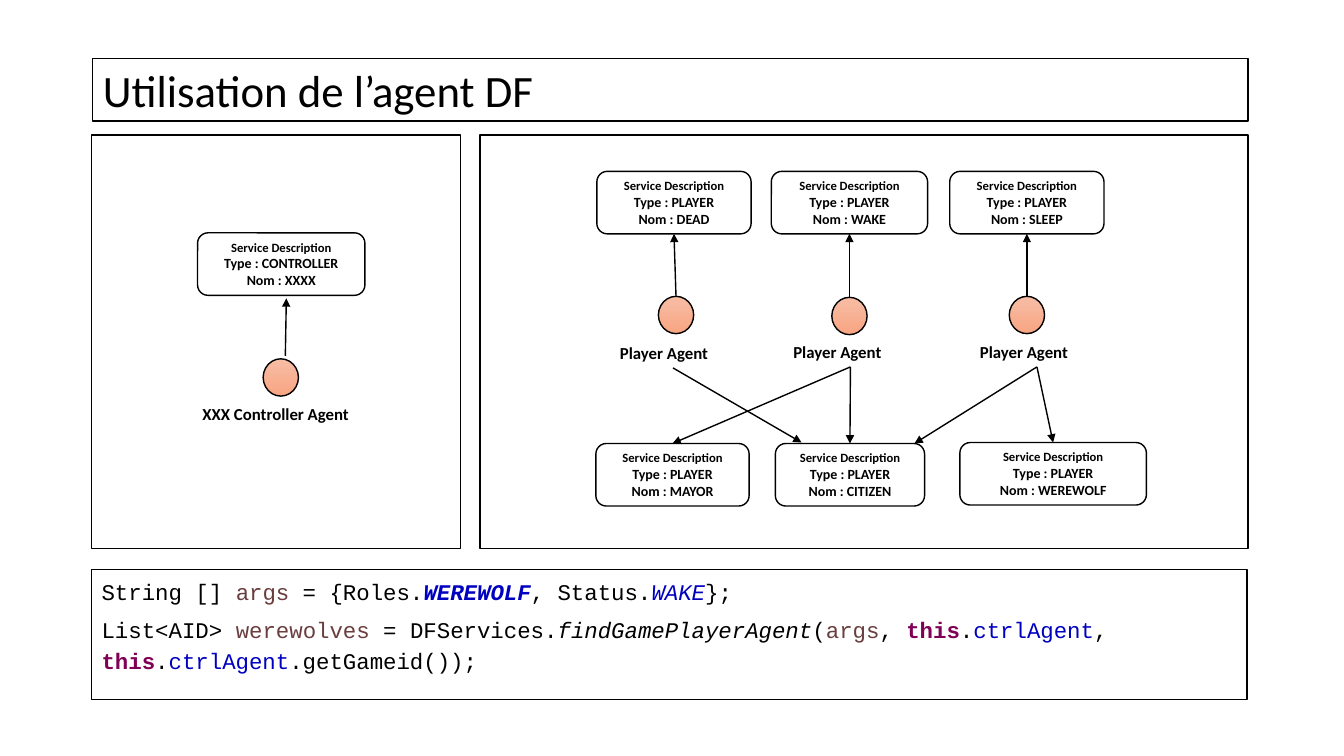
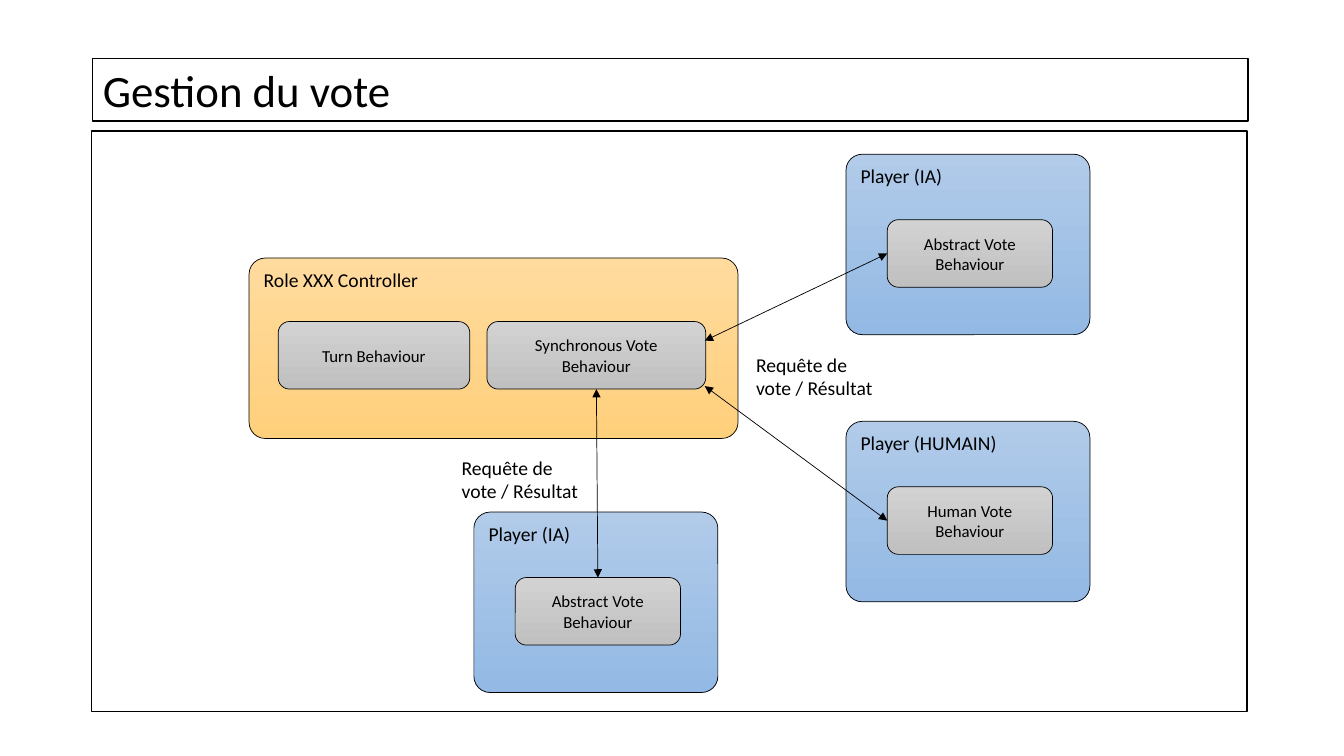
from dataclasses import dataclass
from typing import NamedTuple

from lxml import etree
from pptx import Presentation
from pptx.dml.color import RGBColor
from pptx.enum.shapes import MSO_CONNECTOR, MSO_SHAPE
from pptx.enum.text import MSO_ANCHOR, MSO_AUTO_SIZE, PP_ALIGN
from pptx.oxml.ns import qn
from pptx.presentation import Presentation as Deck
from pptx.shapes.base import BaseShape
from pptx.slide import Slide
from pptx.util import Pt

PX = 9144
RECT, ROUND, OVAL = MSO_SHAPE.RECTANGLE, MSO_SHAPE.ROUNDED_RECTANGLE, MSO_SHAPE.OVAL
LEFT, CENTER = PP_ALIGN.LEFT, PP_ALIGN.CENTER
TOP, MIDDLE = MSO_ANCHOR.TOP, MSO_ANCHOR.MIDDLE
NORTH, WEST, SOUTH = 0, 1, 2

BLACK, WHITE = "000000", "FFFFFF"
BROWN, BLUE, PLUM = "6A3E3E", "0000C0", "7F0055"
PEACH = ("F7BDA5", "F8A582")
GOLD = ("FFDB9E", "FFD07C")
SKY = ("B1CBE9", "93B9E4")
GRAY = ("D2D2D2", "C0C0C0")


class Box(NamedTuple):
    x: int
    y: int
    w: int
    h: int


class Joint(NamedTuple):
    shape: BaseShape
    side: int


class Point(NamedTuple):
    x: int
    y: int


@dataclass(frozen=True)
class Run:
    text: str
    color: str = BLACK
    bold: bool = False
    italic: bool = False
    size: int = 0


@dataclass(frozen=True)
class Agent:
    dot: Point
    label: Box
    state: str
    card: Box


@dataclass(frozen=True)
class Player:
    x: int
    y: int
    name: str
    vote: str


TITLE = Box(92, 58, 1146, 62)
AGENTS = (
    Agent(Point(653, 294), Box(605, 335, 125, 30), "DEAD", Box(592, 170, 153, 62)),
    Agent(Point(825, 295), Box(777, 334, 133, 30), "WAKE", Box(765, 170, 155, 62)),
    Agent(Point(1001, 294), Box(962, 334, 133, 30), "SLEEP", Box(942, 170, 153, 62)),
)
ROLES = {
    "MAYOR": Box(591, 440, 152, 62),
    "CITIZEN": Box(769, 440, 148, 62),
    "WEREWOLF": Box(952, 439, 185, 62),
}
CODE = (
    (Run("String [] "), Run("args", BROWN), Run(" = {Roles."),
     Run("WEREWOLF", BLUE, True, True), Run(", Status."),
     Run("WAKE", BLUE, italic=True), Run("};")),
    (Run("List<AID> "), Run("werewolves", BROWN), Run(" = DFServices."),
     Run("findGamePlayerAgent", italic=True), Run("("), Run("args", BROWN),
     Run(", "), Run("this", PLUM, True), Run("."), Run("ctrlAgent", BLUE),
     Run(", "), Run("this", PLUM, True), Run("."), Run("ctrlAgent", BLUE),
     Run(".getGameid());")),
)
PLAYERS = (
    Player(839, 153, "Player (IA)", "Abstract Vote Behaviour"),
    Player(839, 418, "Player (HUMAIN)", "Human Vote Behaviour"),
    Player(470, 508, "Player (IA)", "Abstract Vote Behaviour"),
)


def rgb(code: str) -> RGBColor:
    return RGBColor.from_string(code)


def scale(box: Box) -> list[int]:
    return [n * PX for n in box]


def write(shape: BaseShape, *lines: str | tuple[Run, ...], size: int = 12,
          font: str = "Calibri", bold: bool = False, align: PP_ALIGN = LEFT,
          anchor: MSO_ANCHOR = TOP, space: float = 1.0, before: int = 0) -> None:
    """Fill a shape with one paragraph for each line."""
    frame = shape.text_frame
    frame.word_wrap = True
    frame.auto_size = MSO_AUTO_SIZE.NONE
    frame.vertical_anchor = anchor
    for i, line in enumerate(lines):
        para = frame.add_paragraph() if i else frame.paragraphs[0]
        para.alignment = align
        para.line_spacing = space
        para.space_before = Pt(before)
        for part in (Run(line),) if isinstance(line, str) else line:
            run = para.add_run()
            run.text = part.text
            run.font.name = font
            run.font.size = Pt(part.size or size)
            run.font.bold = bold or part.bold
            run.font.italic = part.italic
            run.font.color.rgb = rgb(part.color)


def paint(shape: BaseShape, fill: str | tuple[str, str], width: float = 1) -> None:
    """Apply a plain colour or a downward gradient, with a black line."""
    if isinstance(fill, str):
        shape.fill.solid()
        shape.fill.fore_color.rgb = rgb(fill)
    else:
        shape.fill.gradient()
        shape.fill.gradient_angle = 270
        for stop, code in zip(shape.fill.gradient_stops, fill):
            stop.color.rgb = rgb(code)
    shape.line.color.rgb = rgb(BLACK)
    shape.line.width = Pt(width)


def veil(shape: BaseShape) -> None:
    """Paint a shape in translucent white."""
    paint(shape, WHITE)
    tint = shape._element.spPr.find(qn("a:solidFill"))[0]
    etree.SubElement(tint, qn("a:alpha"), val="48000")


def draw(slide: Slide, kind: MSO_SHAPE, box: Box,
         fill: str | tuple[str, str], width: float = 1) -> BaseShape:
    shape = slide.shapes.add_shape(kind, *scale(box))
    shape.shadow.inherit = False
    paint(shape, fill, width)
    return shape


def panel(slide: Slide, box: Box) -> BaseShape:
    shape = draw(slide, RECT, box, WHITE)
    veil(shape)
    return shape


def label(slide: Slide, box: Box, text: str, size: int = 12,
          bold: bool = False) -> BaseShape:
    shape = slide.shapes.add_textbox(*scale(box))
    write(shape, text, size=size, bold=bold)
    return shape


def link(slide: Slide, start: Joint | Point, end: Joint | Point,
         width: float = 1, both: bool = False) -> None:
    """Draw an arrow, joined to a shape at each end that is a Joint."""
    ends = [n * PX for p in (start, end)
            for n in (p if isinstance(p, Point) else (0, 0))]
    line = slide.shapes.add_connector(MSO_CONNECTOR.STRAIGHT, *ends)
    if isinstance(start, Joint):
        line.begin_connect(*start)
    if isinstance(end, Joint):
        line.end_connect(*end)
    line.line.color.rgb = rgb(BLACK)
    line.line.width = Pt(width)
    props = line._element.spPr
    for tag in ("a:headEnd", "a:tailEnd") if both else ("a:tailEnd",):
        etree.SubElement(props.find(qn("a:ln")), qn(tag), type="triangle")
    etree.SubElement(props, qn("a:effectLst"))


def start(deck: Deck, text: str) -> Slide:
    """Add a slide with the shared title band."""
    slide = deck.slides.add_slide(deck.slide_layouts[5])
    title = slide.shapes.title
    title.left, title.top, title.width, title.height = scale(TITLE)
    veil(title)
    write(title, text, size=32, anchor=MIDDLE)
    return slide


def card(slide: Slide, box: Box, kind: str, name: str) -> BaseShape:
    """Draw a service description."""
    shape = draw(slide, ROUND, box, WHITE)
    write(shape, (Run("Service Description", size=9),), f"Type : {kind}",
          f"Nom : {name}", size=10, bold=True, align=CENTER, anchor=MIDDLE)
    return shape


def dot(slide: Slide, at: Point) -> BaseShape:
    return draw(slide, OVAL, Box(*at, 35, 37), PEACH)


def group(slide: Slide, box: Box, fill: tuple[str, str], name: str) -> None:
    shape = draw(slide, ROUND, box, fill, 0.5)
    shape.adjustments[0] = 0.09
    write(shape, name, size=14)


def task(slide: Slide, box: Box, name: str) -> BaseShape:
    shape = draw(slide, ROUND, box, GRAY, 0.5)
    write(shape, name, align=CENTER, anchor=MIDDLE)
    return shape


def agents(deck: Deck) -> None:
    slide = start(deck, "Utilisation de l’agent DF")
    panel(slide, Box(476, 134, 762, 410))
    panel(slide, Box(91, 134, 366, 410))

    card(slide, Box(196, 231, 166, 62), "CONTROLLER", "XXXX")
    dot(slide, Point(261, 356))
    link(slide, Point(283, 353), Point(284, 296))
    label(slide, Box(191, 396, 196, 30), "XXX Controller Agent", bold=True)

    roles = {name: card(slide, box, "PLAYER", name) for name, box in ROLES.items()}
    feet = []
    for agent in AGENTS:
        state = card(slide, agent.card, "PLAYER", agent.state)
        link(slide, Joint(dot(slide, agent.dot), NORTH), Joint(state, SOUTH))
        name = label(slide, agent.label, "Player Agent", bold=True)
        feet.append(Joint(name, SOUTH))
    dead, wake, sleep = feet
    mayor, citizen, wolf = (Joint(role, NORTH) for role in roles.values())
    for foot, role in ((dead, Point(795, 439)), (wake, mayor), (wake, citizen),
                       (sleep, Point(907, 440)), (sleep, wolf)):
        link(slide, foot, role)

    code = panel(slide, Box(91, 565, 1146, 129))
    write(code, *CODE, size=16, font="Courier New", space=1.15, before=5)


def votes(deck: Deck) -> None:
    slide = start(deck, "Gestion du vote")
    panel(slide, Box(91, 130, 1146, 576))
    group(slide, Box(247, 256, 485, 179), GOLD, "Role XXX Controller")
    task(slide, Box(276, 319, 190, 67), "Turn Behaviour")
    sync = task(slide, Box(483, 319, 217, 67), "Synchronous Vote Behaviour")

    tasks = []
    for who in PLAYERS:
        group(slide, Box(who.x, who.y, 242, 179), SKY, who.name)
        tasks.append(task(slide, Box(who.x + 41, who.y + 65, 164, 67), who.vote))
    for x, y in ((740, 345), (448, 447)):
        label(slide, Box(x, y, 149, 57), "Requête de vote / Résultat", 14)

    upper, human, lower = tasks
    for tip, end in ((Point(699, 338), Joint(upper, WEST)),
                     (Point(699, 383), Joint(human, WEST)),
                     (Joint(sync, SOUTH), Joint(lower, NORTH))):
        link(slide, tip, end, 0.5, both=True)


def main() -> None:
    deck = Presentation()
    deck.slide_width, deck.slide_height = 1333 * PX, 750 * PX
    agents(deck)
    votes(deck)
    deck.save("out.pptx")


if __name__ == "__main__":
    main()
